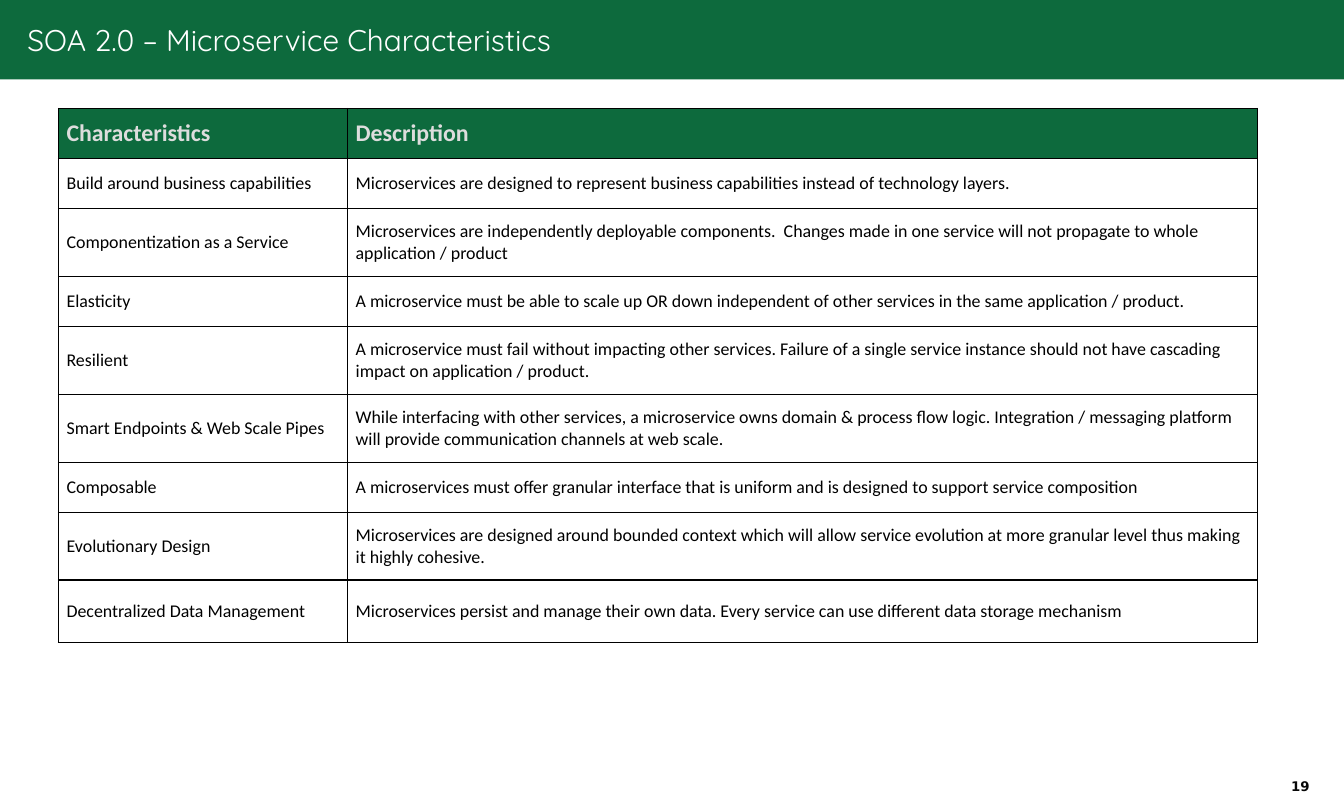
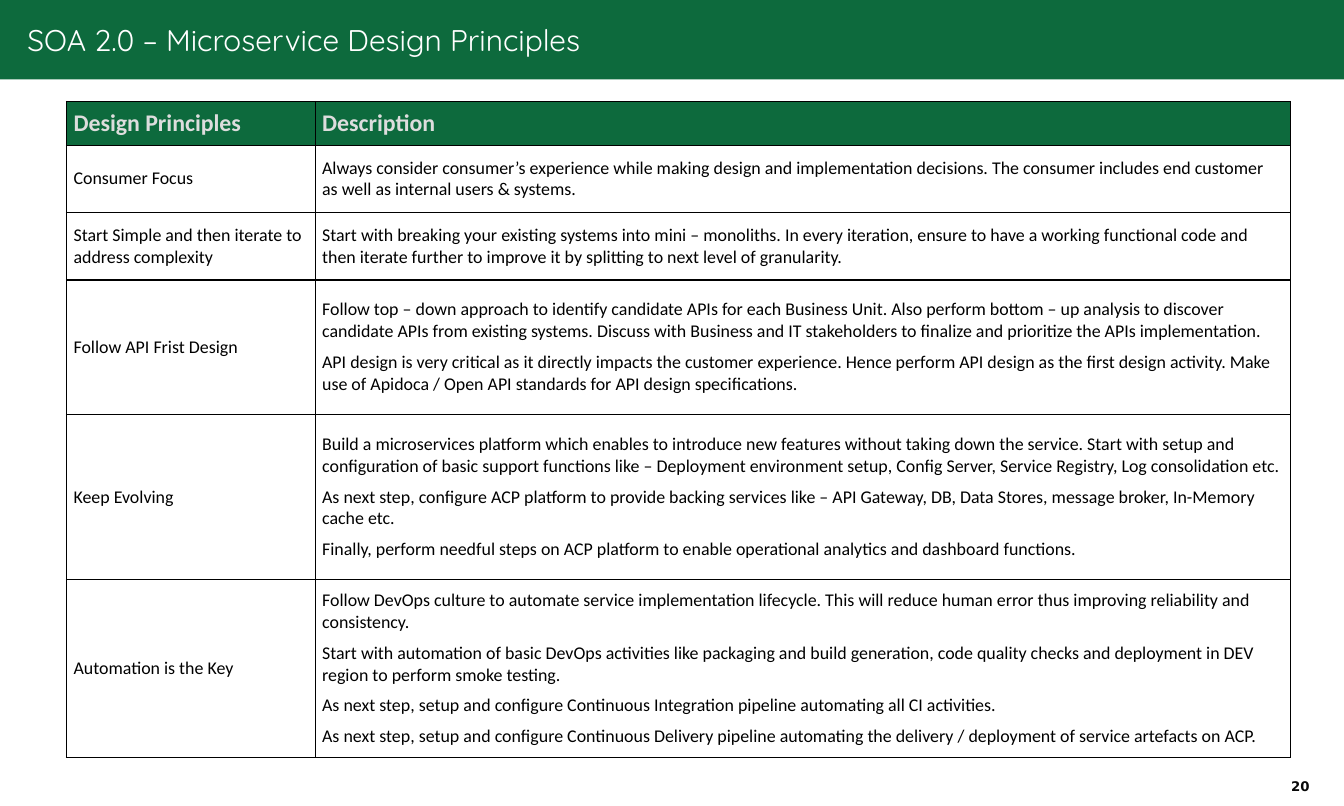
"""Builds two slides of tables on microservice characteristics and design principles."""
from lxml.etree import SubElement
from pptx import Presentation
from pptx.dml.color import RGBColor
from pptx.enum.shapes import MSO_SHAPE
from pptx.enum.text import MSO_ANCHOR, PP_ALIGN
from pptx.oxml import parse_xml
from pptx.oxml.ns import nsdecls, qn
from pptx.util import Pt

GREEN = RGBColor(0x0D, 0x6A, 0x3D)
WHITE = RGBColor(0xFF, 0xFF, 0xFF)
BLACK = RGBColor(0x00, 0x00, 0x00)
PALE_GREY = RGBColor(0xDD, 0xDD, 0xDD)
NUMBER_BLACK = RGBColor(0x08, 0x08, 0x08)
TITLE_FONT, TABLE_FONT, NUMBER_FONT = "Quicksand", "Calibri", "DejaVu Sans"
SLIDE_WIDTH, SLIDE_HEIGHT = 900, 540

ONE_LINE, TWO_LINES = 33.6, 45.4

characteristics = [
    ("Characteristics", ["Description"], ONE_LINE),
    ("Build around business capabilities", [
        "Microservices are designed to represent business capabilities instead of technology layers.",
    ], ONE_LINE),
    ("Componentization as a Service", [
        "Microservices are independently deployable components.  Changes made in one service "
        "will not propagate to whole application / product",
    ], TWO_LINES),
    ("Elasticity", [
        "A microservice must be able to scale up OR down independent of other services "
        "in the same application / product.",
    ], ONE_LINE),
    ("Resilient", [
        "A microservice must fail without impacting other services. Failure of a single service "
        "instance should not have cascading impact on application / product.",
    ], TWO_LINES),
    ("Smart Endpoints & Web Scale Pipes", [
        "While interfacing with other services, a microservice owns domain & process flow logic. "
        "Integration / messaging platform will provide communication channels at web scale.",
    ], TWO_LINES),
    ("Composable", [
        "A microservices must offer granular interface that is uniform and is designed "
        "to support service composition",
    ], ONE_LINE),
    ("Evolutionary Design", [
        "Microservices are designed around bounded context which will allow service evolution "
        "at more granular level thus making it highly cohesive.",
    ], TWO_LINES),
    ("Decentralized Data Management", [
        "Microservices persist and manage their own data. Every service can use different "
        "data storage mechanism",
    ], 41.8),
]

principles = [
    ("Design Principles", ["Description"], 29.5),
    ("Consumer Focus", [
        "Always consider consumer’s experience while making design and implementation decisions. "
        "The consumer includes end customer as well as internal users & systems.",
    ], 44.7),
    ("Start Simple and then iterate to address complexity", [
        "Start with breaking your existing systems into mini – monoliths. In every iteration, "
        "ensure to have a working functional code and then iterate further to improve it by "
        "splitting to next level of granularity.",
    ], TWO_LINES),
    ("Follow API Frist Design", [
        "Follow top – down approach to identify candidate APIs for each Business Unit. Also perform "
        "bottom – up analysis to discover candidate APIs from existing systems. Discuss with Business "
        "and IT stakeholders to finalize and prioritize the APIs implementation.",
        "API design is very critical as it directly impacts the customer experience. Hence perform "
        "API design as the first design activity. Make use of Apidoca / Open API standards for "
        "API design specifications.",
    ], 90),
    ("Keep Evolving", [
        "Build a microservices platform which enables to introduce new features without taking down "
        "the service. Start with setup and configuration of basic support functions like – Deployment "
        "environment setup, Config Server, Service Registry, Log consolidation etc.",
        "As next step, configure ACP platform to provide backing services like – API Gateway, DB, "
        "Data Stores, message broker, In-Memory cache etc.",
        "Finally, perform needful steps on ACP platform to enable operational analytics and "
        "dashboard functions.",
    ], 110.9),
    ("Automation is the Key", [
        "Follow DevOps culture to automate service implementation lifecycle. This will reduce human "
        "error thus improving reliability and consistency.",
        "Start with automation of basic DevOps activities like packaging and build generation, code "
        "quality checks and deployment in DEV region to perform smoke testing.",
        "As next step, setup and configure Continuous Integration pipeline automating all CI activities.",
        "As next step, setup and configure Continuous Delivery pipeline automating the delivery / "
        "deployment of service artefacts on ACP.",
    ], 119),
]

slides = [
    dict(number="19", title="SOA 2.0 – Microservice Characteristics", rows=characteristics,
         left=39.2, top=72.7, widths=(193.6, 609.1), inset=5.4, header_before=0, body_before=6),
    dict(number="20", title="SOA 2.0 – Microservice Design Principles", rows=principles,
         left=44.6, top=68, widths=(166.5, 653), inset=4.7, header_before=6, body_before=0),
]


def write(para, text, font, size, color, bold=False):
    span = para.add_run()
    span.text = text
    span.font.name = font
    span.font.size = Pt(size)
    span.font.color.rgb = color
    span.font.bold = bold


def add_text_box(page, left, top, width, height, inset, wrap):
    box = page.shapes.add_textbox(Pt(left), Pt(top), Pt(width), Pt(height))
    frame = box.text_frame
    frame.word_wrap = wrap
    frame.vertical_anchor = MSO_ANCHOR.MIDDLE
    frame.margin_left = frame.margin_right = Pt(inset)
    frame.margin_top = frame.margin_bottom = 0
    return frame.paragraphs[0]


deck = Presentation()
deck.slide_width, deck.slide_height = Pt(SLIDE_WIDTH), Pt(SLIDE_HEIGHT)

for content in slides:
    page = deck.slides.add_slide(deck.slide_layouts[6])

    band = page.shapes.add_shape(MSO_SHAPE.RECTANGLE, 0, 0, Pt(SLIDE_WIDTH), Pt(53.2))
    band.shadow.inherit = False
    band.fill.solid()
    band.fill.fore_color.rgb = GREEN
    band.line.fill.background()

    number = add_text_box(page, 856, 523.4, 29.5, 6.5, 0, False)
    number.alignment = PP_ALIGN.CENTER
    write(number, content["number"], NUMBER_FONT, 8.9, NUMBER_BLACK, True)

    title = add_text_box(page, 11.2, 5.2, 750, 42.5, 7.2, True)
    write(title, content["title"], TITLE_FONT, 20, WHITE)

    rows, widths = content["rows"], content["widths"]
    table = page.shapes.add_table(
        len(rows), len(widths), Pt(content["left"]), Pt(content["top"]),
        Pt(sum(widths)), Pt(sum(height for _, _, height in rows))).table
    table.horz_banding = False
    for column, width in zip(table.columns, widths):
        column.width = Pt(width)

    for row_index, (name, description, height) in enumerate(rows):
        table.rows[row_index].height = Pt(height)
        is_header = row_index == 0
        size, color = (16, PALE_GREY) if is_header else (12, BLACK)
        before = content["header_before" if is_header else "body_before"]

        for column_index, texts in enumerate(([name], description)):
            cell = table.cell(row_index, column_index)
            cell.vertical_anchor = MSO_ANCHOR.MIDDLE
            cell.margin_left = cell.margin_right = Pt(content["inset"])
            cell.margin_top = cell.margin_bottom = 0
            if is_header:
                cell.fill.solid()
                cell.fill.fore_color.rgb = GREEN
            else:
                cell.fill.background()

            properties = cell._tc.get_or_add_tcPr()
            for position, side in enumerate(("lnL", "lnR", "lnT", "lnB")):
                border = parse_xml(f'<a:{side} {nsdecls("a")} w="{Pt(1)}"/>')
                fill = SubElement(border, qn("a:solidFill"))
                SubElement(fill, qn("a:srgbClr"), val=str(BLACK))
                properties.insert(position, border)

            frame = cell.text_frame
            for text_index, text in enumerate(texts):
                para = frame.add_paragraph() if text_index else frame.paragraphs[0]
                para.space_before, para.space_after = Pt(before), Pt(6)
                write(para, text, TABLE_FONT, size, color, is_header)

deck.save("out.pptx")
